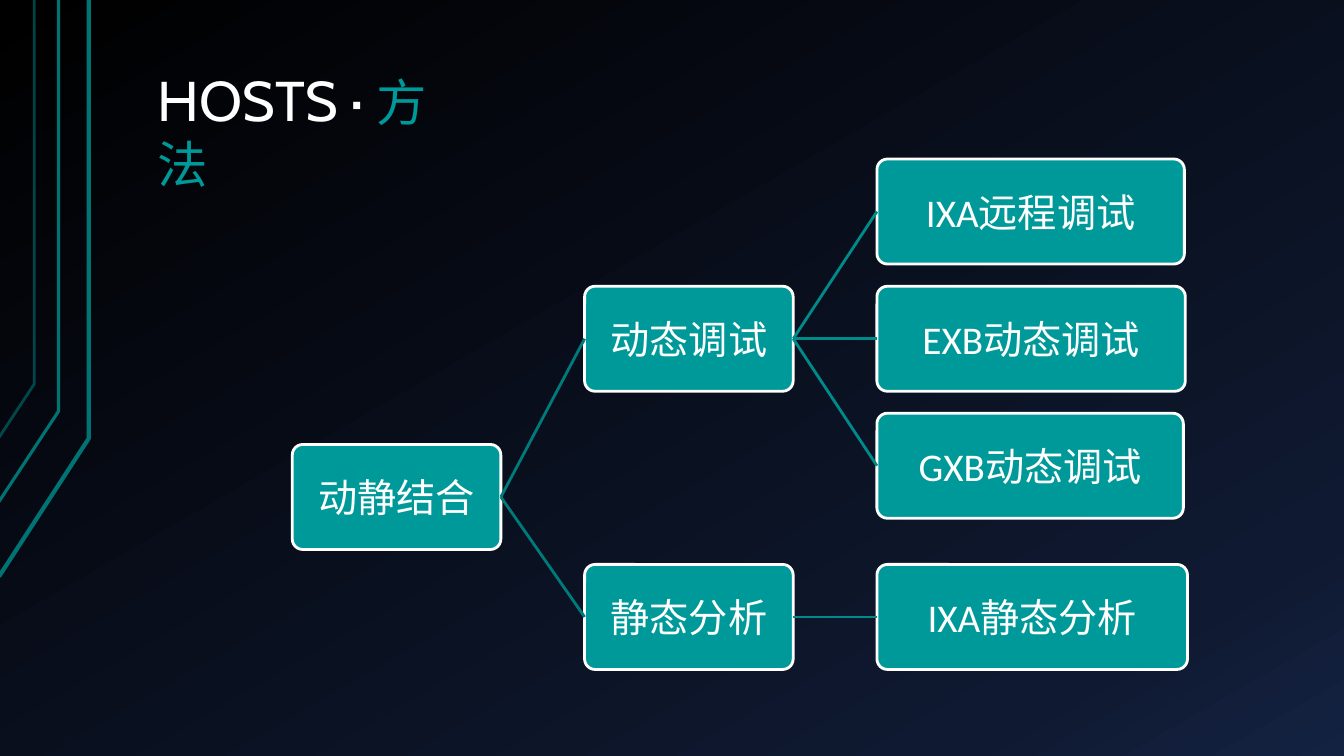
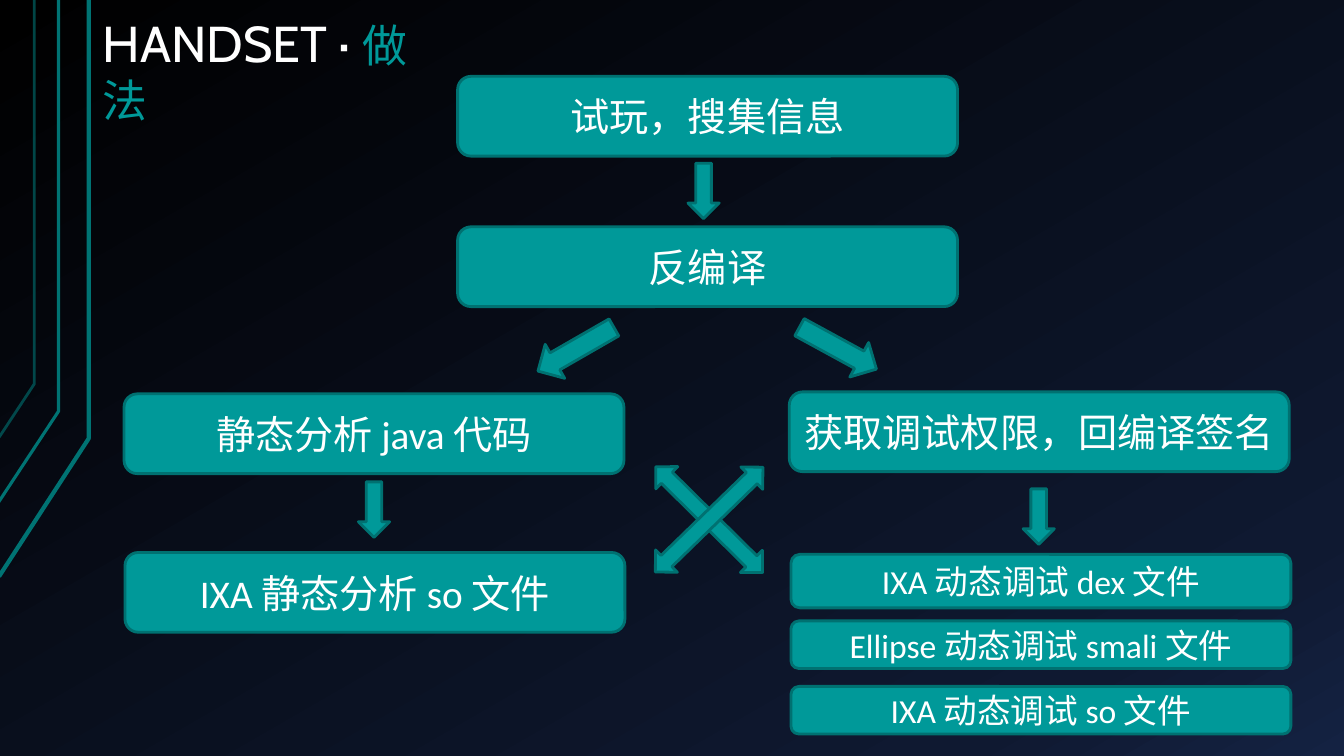
from lxml import etree
from pptx import Presentation
from pptx import util as u
from pptx.dml import color
from pptx.enum import shapes, text
from pptx.oxml import ns

Pt = u.Pt
COLOURS = {
    "night": "000000", "navy": "0F1931", "blue": "142242",
    "white": "FFFFFF", "teal": "009999", "edge": "007171",
    "band": "007373", "trunk": "007B7B", "branch": "008B8B",
}
SHAPES = shapes.MSO_SHAPE
CENTRED = {"word_wrap": True, "vertical_anchor": text.MSO_ANCHOR.MIDDLE}
TOP_LEFT = {"word_wrap": True, "vertical_anchor": text.MSO_ANCHOR.TOP}


def write(frame, layout, align, runs):
    for name, value in layout.items():
        setattr(frame, name, value)
    line = frame.paragraphs[0]
    line.alignment = align
    for words, font, size, colour in runs:
        run = line.add_run()
        run.text = words
        for name, value in {"name": font, "size": Pt(size)}.items():
            setattr(run.font, name, value)
        run.font.color.rgb = color.RGBColor.from_string(COLOURS[colour])


def draw(slide, kind, left, top, width, height, edge, words="", size=28):
    part = slide.shapes.add_shape(kind, Pt(left), Pt(top), Pt(width), Pt(height))
    part.shadow.inherit = False
    part.fill.solid()
    part.fill.fore_color.rgb = color.RGBColor.from_string(COLOURS["teal"])
    part.line.color.rgb = color.RGBColor.from_string(COLOURS[edge])
    part.line.width = Pt(2)
    if words:
        write(part.text_frame, CENTRED, text.PP_ALIGN.CENTER,
              [(words, "Calibri", size, "white")])
    return part


deck = Presentation()
deck.slide_width, deck.slide_height = Pt(960), Pt(540)
method, practice = [deck.slides.add_slide(deck.slide_layouts[6]) for _ in range(2)]

master = deck.slide_master
backdrop = master.background.fill
backdrop.gradient()
backdrop.gradient_angle = 300
stops = master.element.xpath(".//p:bg//a:gsLst")[0]
for stop in list(stops):
    stops.remove(stop)
for percent, shade in [(0, "night"), (85, "navy"), (100, "blue")]:
    stop = etree.SubElement(stops, ns.qn("a:gs"), pos=str(percent * 1000))
    etree.SubElement(stop, ns.qn("a:srgbClr"), val=COLOURS[shade])

bands = [
    (-0.7, 411.8, 63.4, 313.2, 3, 100),
    (-1.4, 359.3, 41.8, 293.8, 2.25, 100),
    (-0.7, 312.5, 24.5, 274.3, 2, 60),
]
for order, (foot_x, foot_y, bend_x, bend_y, width, opacity) in enumerate(bands):
    outline = method.shapes.build_freeform(Pt(foot_x), Pt(foot_y))
    outline.add_line_segments([(Pt(bend_x), Pt(bend_y)), (Pt(bend_x), 0)], close=False)
    band = outline.convert_to_shape()
    band.shadow.inherit = False
    band.fill.background()
    band.line.color.rgb = color.RGBColor.from_string(COLOURS["band"])
    band.line.width = Pt(width)
    if opacity < 100:
        tint = band.element.xpath("./p:spPr/a:ln//a:srgbClr")[0]
        etree.SubElement(tint, ns.qn("a:alpha"), val=str(opacity * 1000))
    band.element.xpath(".//p:cNvPr")[0].set("id", str(100 + order))
    master.shapes.element.append(band.element)

titles = [
    (method, "HOSTS · ", "方法", 105.8, 43.2, 224, 104.4, 40),
    (practice, "HANDSET · ", "做法", 66.2, 5, 247, 94.3, 36),
]
for slide, system, topic, left, top, width, height, size in titles:
    title = slide.shapes.add_textbox(Pt(left), Pt(top), Pt(width), Pt(height))
    write(title.text_frame, TOP_LEFT, text.PP_ALIGN.LEFT,
          [(system, "Cabin", size, "white"), (topic, "Calibri", size - 4, "teal")])

tree = [
    ("动静结合", 0, 317.5, 149, None),
    ("动态调试", 1, 204.5, 149, "动静结合"),
    ("IXA远程调试", 2, 113.6, 219.6, "动态调试"),
    ("EXB动态调试", 2, 204.5, 220.3, "动态调试"),
    ("GXB动态调试", 2, 295.2, 218.9, "动态调试"),
    ("静态分析", 1, 403.2, 149, "动静结合"),
    ("IXA静态分析", 2, 403.2, 221.8, "静态分析"),
]
nodes = {}
for words, level, top, width, parent in tree:
    node = draw(method, SHAPES.ROUNDED_RECTANGLE, 208.8 * (level + 1), top,
                width, 75, "white", words)
    node.adjustments[0] = 0.1
    nodes[words] = node
    if parent:
        link = method.shapes.add_connector(shapes.MSO_CONNECTOR.STRAIGHT, 0, 0, 0, 0)
        link.begin_connect(nodes[parent], 3)
        link.end_connect(node, 1)
        shade = COLOURS["trunk" if level == 1 else "branch"]
        link.line.color.rgb = color.RGBColor.from_string(shade)
        link.line.width = Pt(2)
        etree.SubElement(link.element.spPr, ns.qn("a:effectLst"))

steps = [
    ("试玩，搜集信息", 326.9, 54.5, 57, 28),
    ("反编译", 326.9, 162, 57, 28),
    ("静态分析 java 代码", 88.6, 281.3, 57, 28),
    ("获取调试权限，回编译签名", 563.8, 279.9, 57, 28),
    ("IXA 静态分析 so 文件", 89.3, 394.6, 57, 28),
    ("IXA 动态调试 dex 文件", 565, 396, 38.2, 24),
    ("Ellipse 动态调试 smali 文件", 565, 443.5, 34, 24),
    ("IXA 动态调试 so 文件", 565, 490.3, 34, 24),
]
for words, left, top, height, size in steps:
    draw(practice, SHAPES.ROUNDED_RECTANGLE, left, top, 357.12, height,
         "edge", words, size)

arrows = [
    (SHAPES.DOWN_ARROW, 397.4, 218.2, 28, 62.6, 60.1),
    (SHAPES.DOWN_ARROW, 584.6, 217.4, 28, 62.6, 298.6),
    (SHAPES.LEFT_RIGHT_ARROW, 452.9, 360, 107.3, 22.3, 44.7),
    (SHAPES.LEFT_RIGHT_ARROW, 452.9, 360, 107.3, 22.3, 315.8),
    (SHAPES.DOWN_ARROW, 491.4, 116.6, 22.3, 39.6, 0),
    (SHAPES.DOWN_ARROW, 256, 344.2, 22.3, 39.6, 0),
    (SHAPES.DOWN_ARROW, 730.8, 349.2, 22.3, 39.6, 0),
]
for kind, left, top, width, height, turn in arrows:
    draw(practice, kind, left, top, width, height, "edge").rotation = turn

deck.save("out.pptx")
